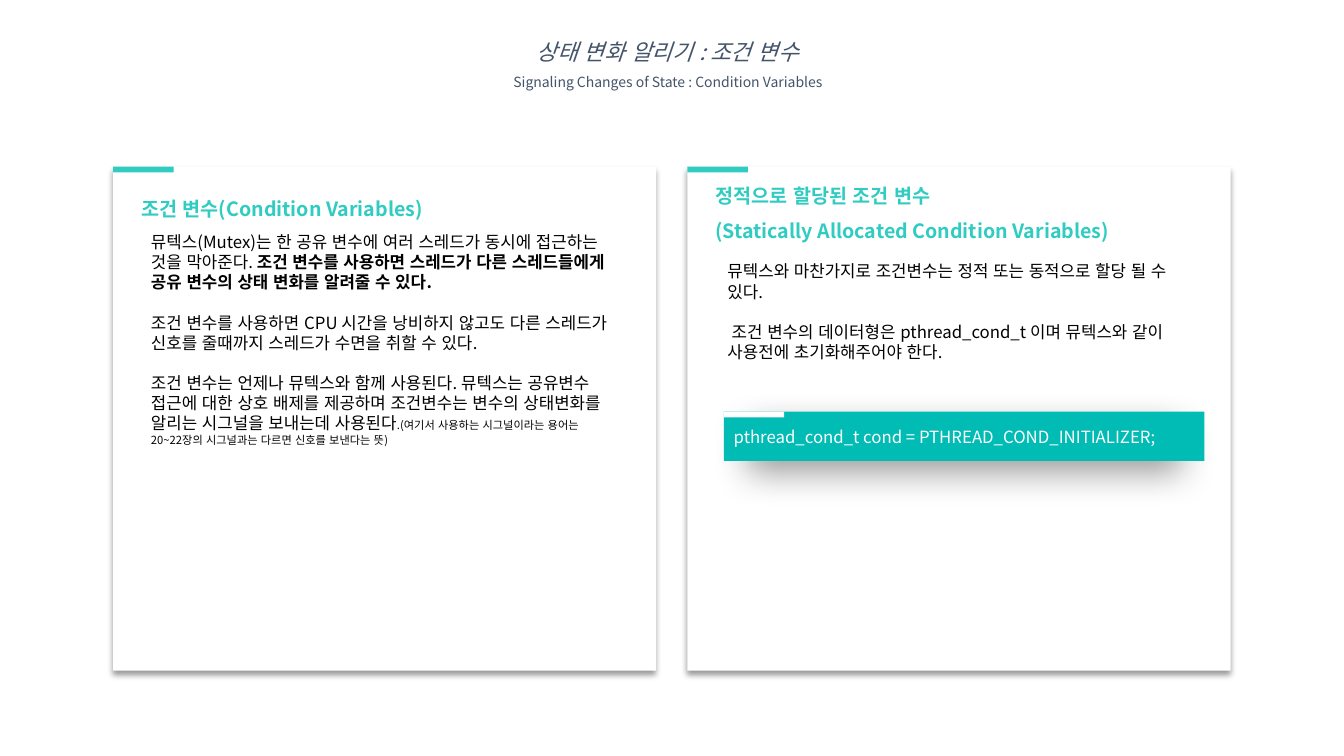
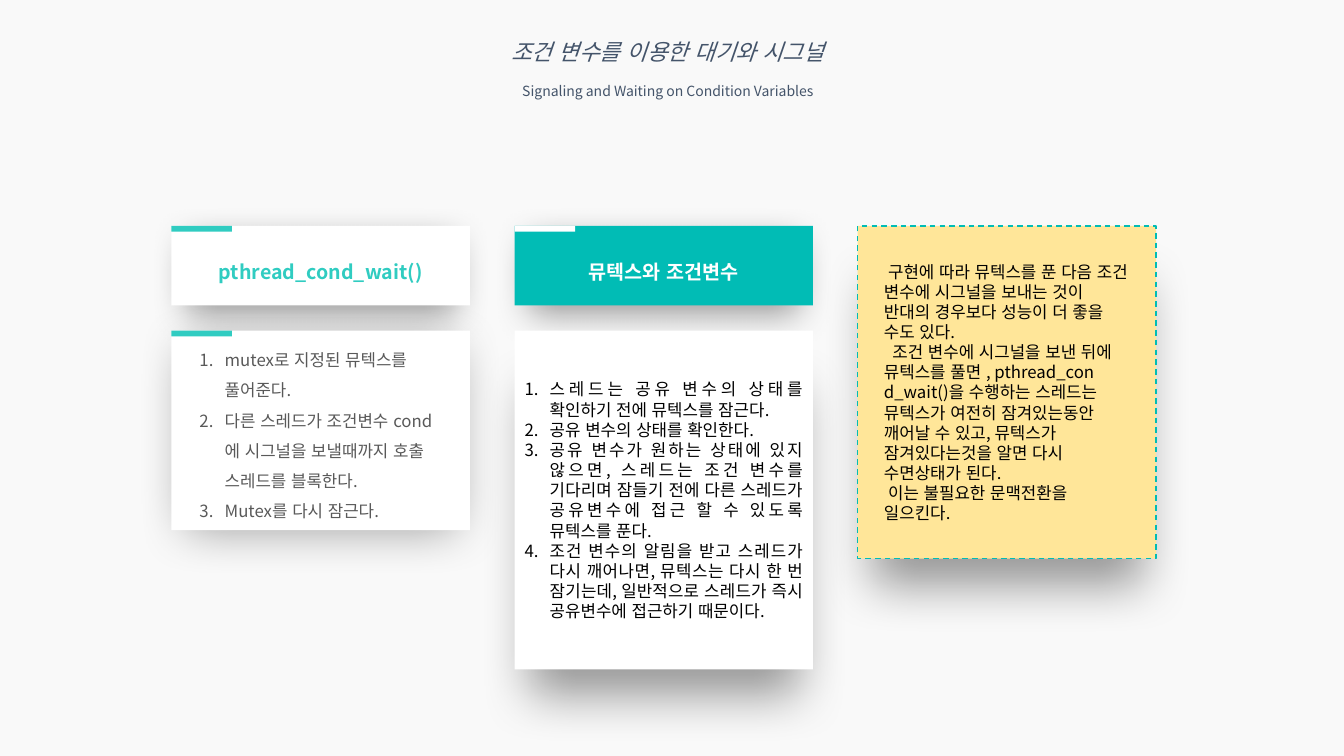
from lxml.etree import SubElement
from pptx import Presentation
from pptx.dml.color import RGBColor
from pptx.enum.dml import MSO_LINE_DASH_STYLE as Dash
from pptx.enum.lang import MSO_LANGUAGE_ID as Language
from pptx.enum.shapes import MSO_SHAPE as Shape
from pptx.enum.text import MSO_ANCHOR as Anchor, PP_ALIGN as Align
from pptx.oxml.ns import qn
from pptx.util import Pt

FONT = "Noto Sans CJK KR"
TEAL = "01BCB5"
MINT = "30CCC1"
WHITE = "FFFFFF"
BLACK = "000000"
GRAY = "595959"
NAVY = "44546A"
CREAM = "FFE699"
PALE = "F9F9F9"

CARD_SHADOW = {"blur": 4, "distance": 3, "scale": 100}
HEADER_SHADOW = {"blur": 26, "distance": 11, "scale": 90}
LIST_SHADOW = {"blur": 36, "distance": 13, "scale": 90}
DEEP_SHADOW = {"blur": 36, "distance": 42, "scale": 90}

HEADING = {"size": 14, "bold": True, "color": MINT}
BODY = {"size": 12, "color": BLACK}
CENTERED = {"alignment": Align.CENTER, "line_spacing": 1.5}
WIDE_MARGINS = {"margin_left": 20, "margin_right": 20}

TAB_SIZE = (43.2, 4.2)
LINE = 14.4


def rgb(color):
    return RGBColor.from_string(color)


def set_all(target, values):
    for name, value in values.items():
        setattr(target, name, value)


def add_span(para, text, size, color, bold=False, italic=False):
    span = para.add_run()
    span.text = text
    set_all(span.font, {
        "name": FONT, "size": Pt(size), "bold": bold, "italic": italic,
        "language_id": Language.KOREAN,
    })
    span.font.color.rgb = rgb(color)
    SubElement(span.font._element, qn("a:ea"), typeface=FONT)


def indent(para, left, first):
    props = para._p.get_or_add_pPr()
    props.set("marL", str(Pt(left)))
    props.set("indent", str(Pt(first)))
    return props


def number(para):
    props = indent(para, 18, -18)
    SubElement(props, qn("a:buFont"), typeface="+mj-lt")
    SubElement(props, qn("a:buAutoNum"), type="arabicPeriod")


def write(box, paragraphs, font, layout=None, numbered=False, gap=0, first_indents=()):
    frame = box.text_frame
    for index, content in enumerate(paragraphs):
        para = frame.add_paragraph() if index else frame.paragraphs[0]
        if numbered:
            number(para)
        if index < len(first_indents):
            indent(para, 0, first_indents[index])
        set_all(para, {"alignment": Align.LEFT, **(layout or {})})
        if index and gap:
            para.space_before = Pt(gap)
        spans = [(content, {})] if isinstance(content, str) else content
        for text, changes in spans:
            add_span(para, text, **{**font, **changes})


def set_frame(box, anchor, margins=None):
    set_all(box.text_frame, {"word_wrap": True, "vertical_anchor": anchor})
    set_all(box.text_frame, {side: Pt(value) for side, value in (margins or {}).items()})


def add_text(page, left, top, width, height):
    box = page.shapes.add_textbox(Pt(left), Pt(top), Pt(width), Pt(height))
    set_frame(box, Anchor.TOP)
    return box


def add_shadow(box, blur, distance, scale):
    effects = box._element.spPr.find(qn("a:effectLst"))
    shadow = SubElement(
        effects, qn("a:outerShdw"), blurRad=str(Pt(blur)), dist=str(Pt(distance)),
        dir="5400000", sx=str(scale * 1000), sy=str(scale * 1000),
        algn="t", rotWithShape="0",
    )
    color = SubElement(shadow, qn("a:srgbClr"), val=BLACK)
    SubElement(color, qn("a:alpha"), val="40000")


def add_rectangle(page, left, top, width, height, fill):
    box = page.shapes.add_shape(Shape.RECTANGLE, Pt(left), Pt(top), Pt(width), Pt(height))
    box.shadow.inherit = False
    box.fill.solid()
    box.fill.fore_color.rgb = rgb(fill)
    box.line.fill.background()
    return box


def add_card(page, place, fill, shadow, tab=None, anchor=Anchor.MIDDLE, margins=None):
    card = add_rectangle(page, *place, fill)
    add_shadow(card, **shadow)
    set_frame(card, anchor, margins)
    if tab:
        add_rectangle(page, *place[:2], *TAB_SIZE, tab)
    return card


def add_page(deck, background, title, subtitle, subtitle_spacing=1.5):
    page = deck.slides.add_slide(deck.slide_layouts[6])
    page.background.fill.solid()
    page.background.fill.fore_color.rgb = rgb(background)
    box = add_text(page, 283, 14.4, 388, 52)
    heading = [(title, {"size": 16, "italic": True})]
    write(box, [heading, subtitle], {"size": 10, "color": NAVY}, CENTERED)
    box.text_frame.paragraphs[1].line_spacing = subtitle_spacing
    return page


def add_panel(page, left, heading, top_margin):
    margins = {**WIDE_MARGINS, "margin_top": top_margin}
    panel = add_card(page, (left, 119, 388, 360), WHITE, CARD_SHADOW, MINT, Anchor.TOP, margins)
    write(panel, heading, HEADING, {"line_spacing": 1.5})


def build_condition_variables(deck):
    page = add_page(deck, WHITE, "상태 변화 알리기 : 조건 변수",
                    "Signaling Changes of State : Condition Variables")
    left, right = 80.8, 491

    add_panel(page, left, ["조건 변수(Condition Variables)"], 13)
    write(add_text(page, left + 20, 162, 343.4, 189), [
        [("뮤텍스(Mutex)는 한 공유 변수에 여러 스레드가 동시에 접근하는 것을 막아준다. ", {}),
         ("조건 변수를 사용하면 스레드가 다른 스레드들에게 공유 변수의 상태 변화를 알려줄 수 있다.",
          {"bold": True})],
        "조건 변수를 사용하면 CPU 시간을 낭비하지 않고도 다른 스레드가 신호를 줄때까지 "
        "스레드가 수면을 취할 수 있다.",
        [("조건 변수는 언제나 뮤텍스와 함께 사용된다. 뮤텍스는 공유변수 접근에 대한 상호 배제를 "
          "제공하며 조건변수는 변수의 상태변화를 알리는 시그널을 보내는데 사용된다", {}),
         (".(여기서 사용하는 시그널이라는 용어는 20~22장의 시그널과는 다르면 신호를 보낸다는 뜻)",
          {"size": 8})],
    ], BODY, gap=LINE)

    add_panel(page, right, ["정적으로 할당된 조건 변수",
                            "(Statically Allocated Condition Variables)"], 4)
    write(add_text(page, right + 21.6, 183, 343.4, 94), [
        "뮤텍스와 마찬가지로 조건변수는 정적 또는 동적으로 할당 될 수 있다.",
        "조건 변수의 데이터형은 pthread_cond_t 이며 뮤텍스와 같이 사용전에 초기화해주어야 한다.",
    ], BODY, gap=LINE, first_indents=(0, 3))
    code = add_card(page, (right + 26, 294, 343.4, 35.3), TEAL, HEADER_SHADOW, WHITE)
    write(code, ["pthread_cond_t cond = PTHREAD_COND_INITIALIZER;"], {"size": 12, "color": WHITE})


def build_wait_and_signal(deck):
    page = add_page(deck, PALE, "조건 변수를 이용한 대기와 시그널",
                    "Signaling and Waiting on Condition Variables", 2)
    width, top, list_top = 213.1, 161.3, 236.2
    wait, mutex, note = [122.5 + 245.1 * column for column in range(3)]

    headers = [(wait, "pthread_cond_wait()", WHITE, MINT),
               (mutex, "뮤텍스와 조건변수", TEAL, WHITE)]
    for left, text, fill, accent in headers:
        header = add_card(page, (left, top, width, 56.9), fill, HEADER_SHADOW, accent)
        write(header, [text], {**HEADING, "color": accent}, CENTERED)

    steps = add_card(page, (wait, list_top, width, 142.5), WHITE, LIST_SHADOW, MINT,
                     margins=WIDE_MARGINS)
    write(steps, [
        "mutex로 지정된 뮤텍스를 풀어준다.",
        "다른 스레드가 조건변수 cond에 시그널을 보낼때까지 호출 스레드를 블록한다.",
        "Mutex를 다시 잠근다.",
    ], {"size": 12, "color": GRAY}, {"line_spacing": 1.5}, numbered=True)

    usage = add_card(page, (mutex, list_top, width, 242), WHITE, DEEP_SHADOW)
    write(usage, [
        "스레드는 공유 변수의 상태를 확인하기 전에 뮤텍스를 잠근다.",
        "공유 변수의 상태를 확인한다.",
        "공유 변수가 원하는 상태에 있지 않으면, 스레드는 조건 변수를 기다리며 잠들기 전에 "
        "다른 스레드가 공유변수에 접근 할 수 있도록 뮤텍스를 푼다.",
        "조건 변수의 알림을 받고 스레드가 다시 깨어나면, 뮤텍스는 다시 한 번 잠기는데, "
        "일반적으로 스레드가 즉시 공유변수에 접근하기 때문이다.",
    ], BODY, {"alignment": Align.JUSTIFY}, numbered=True)

    remark = add_card(page, (note, top, width, 237.8), CREAM, DEEP_SHADOW,
                      margins={"margin_left": 18.7, "margin_right": 16.6})
    remark.line.color.rgb = rgb(TEAL)
    set_all(remark.line, {"width": Pt(1), "dash_style": Dash.DASH})
    write(remark, [
        "구현에 따라 뮤텍스를 푼 다음 조건 변수에 시그널을 보내는 것이 반대의 경우보다 "
        "성능이 더 좋을 수도 있다.",
        "조건 변수에 시그널을 보낸 뒤에 뮤텍스를 풀면 , pthread_con",
        "d_wait()을 수행하는 스레드는 뮤텍스가 여전히 잠겨있는동안 깨어날 수 있고, "
        "뮤텍스가 잠겨있다는것을 알면 다시 수면상태가 된다.",
        "이는 불필요한 문맥전환을 일으킨다.",
    ], BODY, first_indents=(3, 6, 0, 3))


def main():
    deck = Presentation()
    set_all(deck, {"slide_width": Pt(960), "slide_height": Pt(540)})
    build_condition_variables(deck)
    build_wait_and_signal(deck)
    deck.save("out.pptx")


if __name__ == "__main__":
    main()
